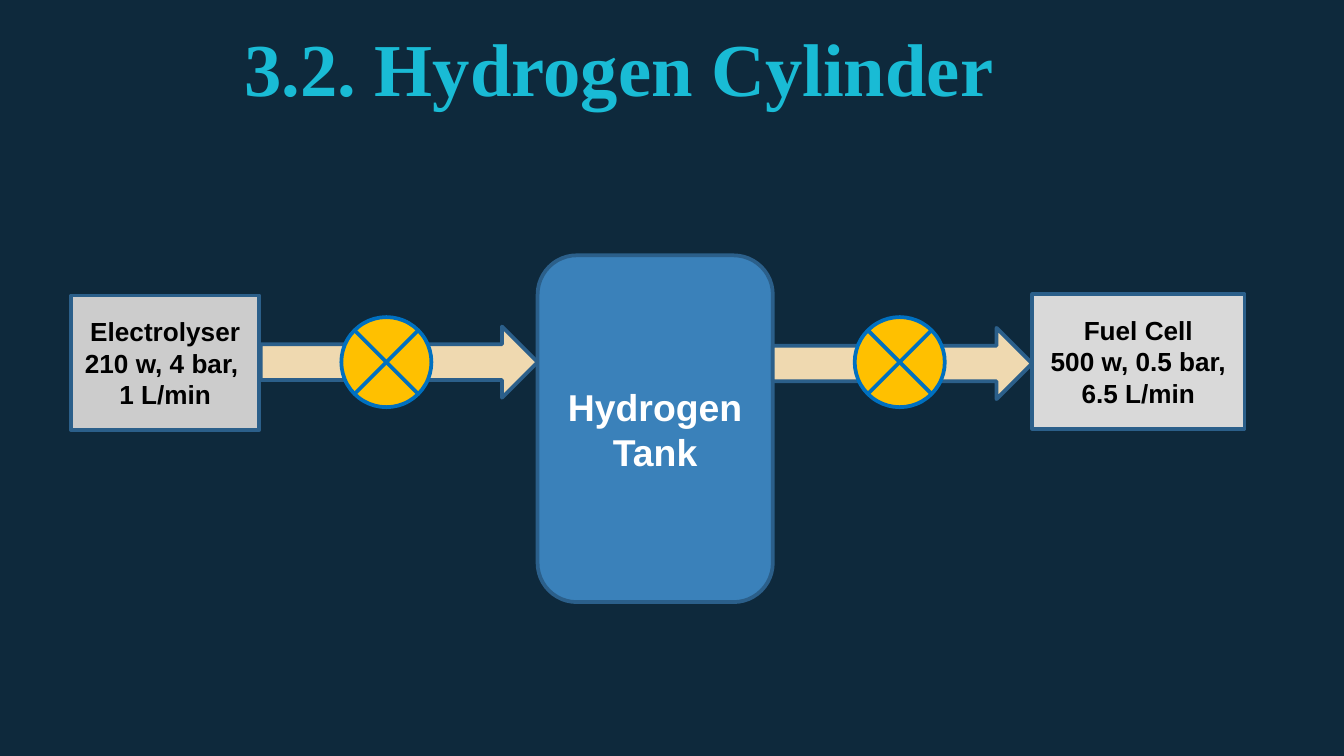
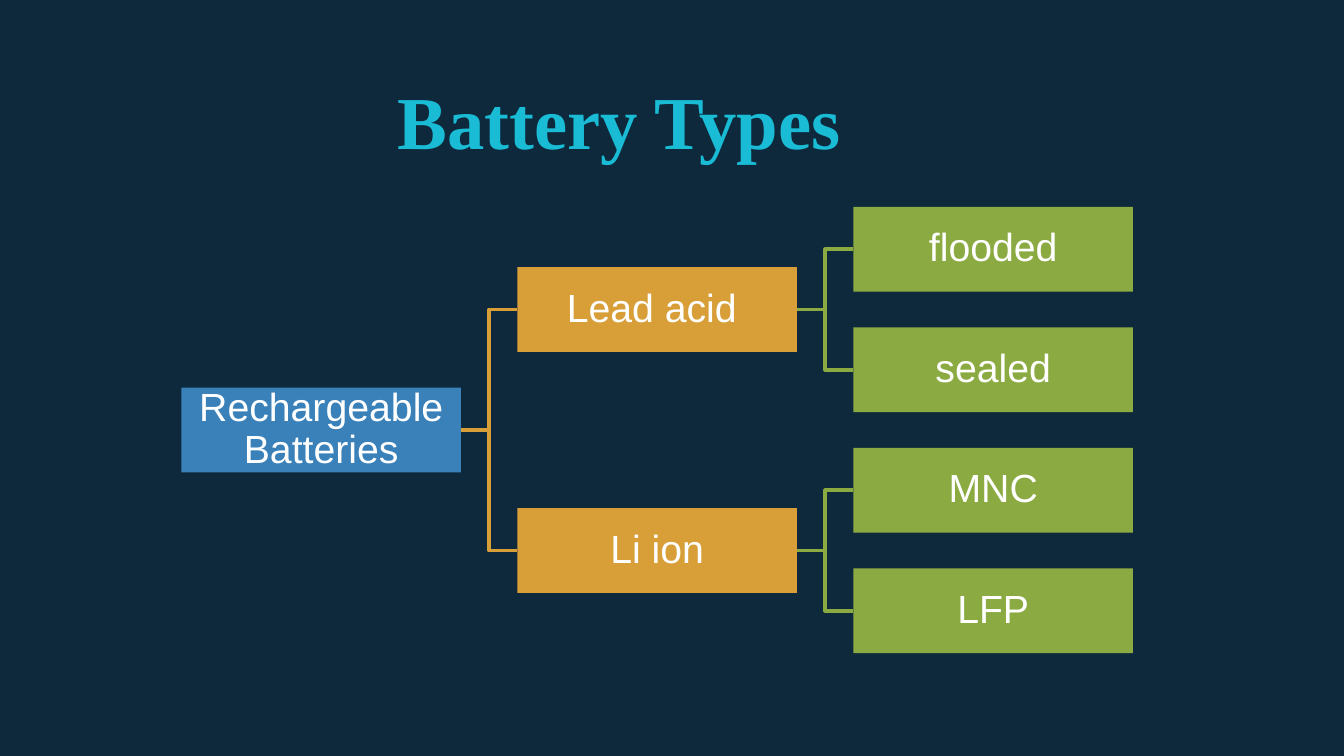
from pptx import Presentation
from pptx.dml.color import RGBColor
from pptx.enum.shapes import MSO_CONNECTOR, MSO_SHAPE
from pptx.enum.text import MSO_ANCHOR, PP_ALIGN
from pptx.oxml.ns import qn
from pptx.util import Inches, Pt
from lxml import etree

RECT = MSO_SHAPE.RECTANGLE
ROUNDED = MSO_SHAPE.ROUNDED_RECTANGLE
ARROW = MSO_SHAPE.RIGHT_ARROW
VALVE = MSO_SHAPE.FLOWCHART_SUMMING_JUNCTION
ELBOW = MSO_CONNECTOR.ELBOW
CENTER = PP_ALIGN.CENTER
TOP, MIDDLE = MSO_ANCHOR.TOP, MSO_ANCHOR.MIDDLE
LEFT_SIDE, RIGHT_SIDE = 1, 3

PAGE_WIDTH = Inches(10)
PAGE_HEIGHT = PAGE_WIDTH * 9 // 16

COLORS = {
    "background": "0E293C", "title": "19BBD5", "white": "FFFFFF", "black": "000000",
    "blue": "3A81BA", "outline": "2B5F8A", "orange": "D89F39", "green": "8BAB42",
    "electrolyser": "CCCCCC", "fuel cell": "D9D9D9", "pipe": "EFD9B0",
    "valve": "FFC000", "valve line": "0070C0",
}

# Kind, (left, top, width, height), fill, outline, lines of text, text format
LABEL = {"size": 14, "color": "black", "bold": True}
CYLINDER_PARTS = [
    (ROUNDED, (4, 1.9, 1.75, 2.58), "blue", "outline", ["Hydrogen", "Tank"],
     {"size": 20, "bold": True}),
    (RECT, (0.53, 2.2, 1.4, 1), "electrolyser", "outline",
     ["Electrolyser", "210 w, 4 bar, ", "1 L/min"], LABEL),
    (RECT, (7.68, 2.19, 1.58, 1), "fuel cell", "outline",
     ["Fuel Cell", "500 w, 0.5 bar, 6.5 L/min"], LABEL),
    (ARROW, (1.94, 2.43, 2.06, 0.53), "pipe", "outline", [], {}),
    (VALVE, (2.54, 2.36, 0.67, 0.67), "valve", "valve line", [], {}),
    (ARROW, (5.75, 2.44, 1.93, 0.53), "pipe", "outline", [], {}),
    (VALVE, (6.36, 2.36, 0.67, 0.67), "valve", "valve line", [], {}),
]

BATTERY_TREE = ("Rechargeable Batteries", [
    ("Lead acid ", [("flooded", []), ("sealed", [])]),
    ("Li ion", [("MNC", []), ("LFP", [])]),
])
LEVEL_COLORS = ["blue", "orange", "green"]
NODE_WIDTH, NODE_HEIGHT = 2.08, 0.63
TREE_LEFT, TREE_TOP, TREE_BOTTOM = 1.35, 1.54, 4.86
LEAF_COUNT = 4
LEVEL_STEP = 2.5
LEAF_STEP = (TREE_BOTTOM - TREE_TOP - NODE_HEIGHT) / (LEAF_COUNT - 1)


def rgb(name):
    return RGBColor.from_string(COLORS[name])


def write_text(box, lines, size=18, color="white", font="Arial", bold=False,
               anchor=MIDDLE, insets=(0.1, 0.05, 0.1, 0.05), spacing=None):
    frame = box.text_frame
    frame.word_wrap = True
    frame.vertical_anchor = anchor
    (frame.margin_left, frame.margin_top,
     frame.margin_right, frame.margin_bottom) = map(Inches, insets)
    for index, line in enumerate(lines):
        para = frame.add_paragraph() if index else frame.paragraphs[0]
        para.alignment = CENTER
        para.line_spacing = spacing
        span = para.add_run()
        span.text = line
        span.font.name = font
        span.font.size = Pt(size)
        span.font.bold = bold
        span.font.color.rgb = rgb(color)


def add_page(deck, title, title_area):
    page = deck.slides.add_slide(deck.slide_layouts[6])
    page.background.fill.solid()
    page.background.fill.fore_color.rgb = rgb("background")
    box = page.shapes.add_textbox(*map(Inches, title_area))
    write_text(box, [title], size=40, color="title", font="Times New Roman",
               bold=True, anchor=TOP, insets=(0.1,) * 4)
    return page


def add_block(page, kind, area, fill, outline=None):
    block = page.shapes.add_shape(kind, *map(Inches, area))
    block.shadow.inherit = False
    block.fill.solid()
    block.fill.fore_color.rgb = rgb(fill)
    if outline:
        block.line.color.rgb = rgb(outline)
        block.line.width = Pt(2)
    else:
        block.line.fill.background()
    return block


def join(page, parent, child, color):
    link = page.shapes.add_connector(ELBOW, 0, 0, 0, 0)
    link.begin_connect(parent, RIGHT_SIDE)
    link.end_connect(child, LEFT_SIDE)
    link.line.color.rgb = rgb(color)
    link.line.width = Pt(2)
    etree.SubElement(link._element.spPr, qn("a:effectLst"))


def add_branch(page, node, level=0, first_leaf=0):
    """Draw a node and its children; return its box, its row and the next free leaf row."""
    label, children = node
    next_leaf = first_leaf
    branches = []
    for child in children:
        box, child_row, next_leaf = add_branch(page, child, level + 1, next_leaf)
        branches.append((box, child_row))
    if branches:
        row = sum(child_row for _, child_row in branches) / len(branches)
    else:
        row, next_leaf = first_leaf, first_leaf + 1
    area = (TREE_LEFT + level * LEVEL_STEP, TREE_TOP + row * LEAF_STEP,
            NODE_WIDTH, NODE_HEIGHT)
    box = add_block(page, RECT, area, LEVEL_COLORS[level])
    write_text(box, [label], size=21, insets=(0.01,) * 4, spacing=0.9)
    for child_box, _ in branches:
        join(page, box, child_box, LEVEL_COLORS[level + 1])
    return box, row, next_leaf


def main():
    deck = Presentation()
    deck.slide_width, deck.slide_height = PAGE_WIDTH, PAGE_HEIGHT

    cylinder = add_page(deck, "3.2. Hydrogen Cylinder", (0.77, 0.06, 7.67, 0.83))
    for kind, area, fill, outline, lines, text_format in CYLINDER_PARTS:
        block = add_block(cylinder, kind, area, fill, outline)
        if lines:
            write_text(block, lines, **text_format)

    batteries = add_page(deck, "Battery Types", (0.77, 0.46, 7.67, 1.54))
    add_branch(batteries, BATTERY_TREE)

    deck.save("out.pptx")


if __name__ == "__main__":
    main()
